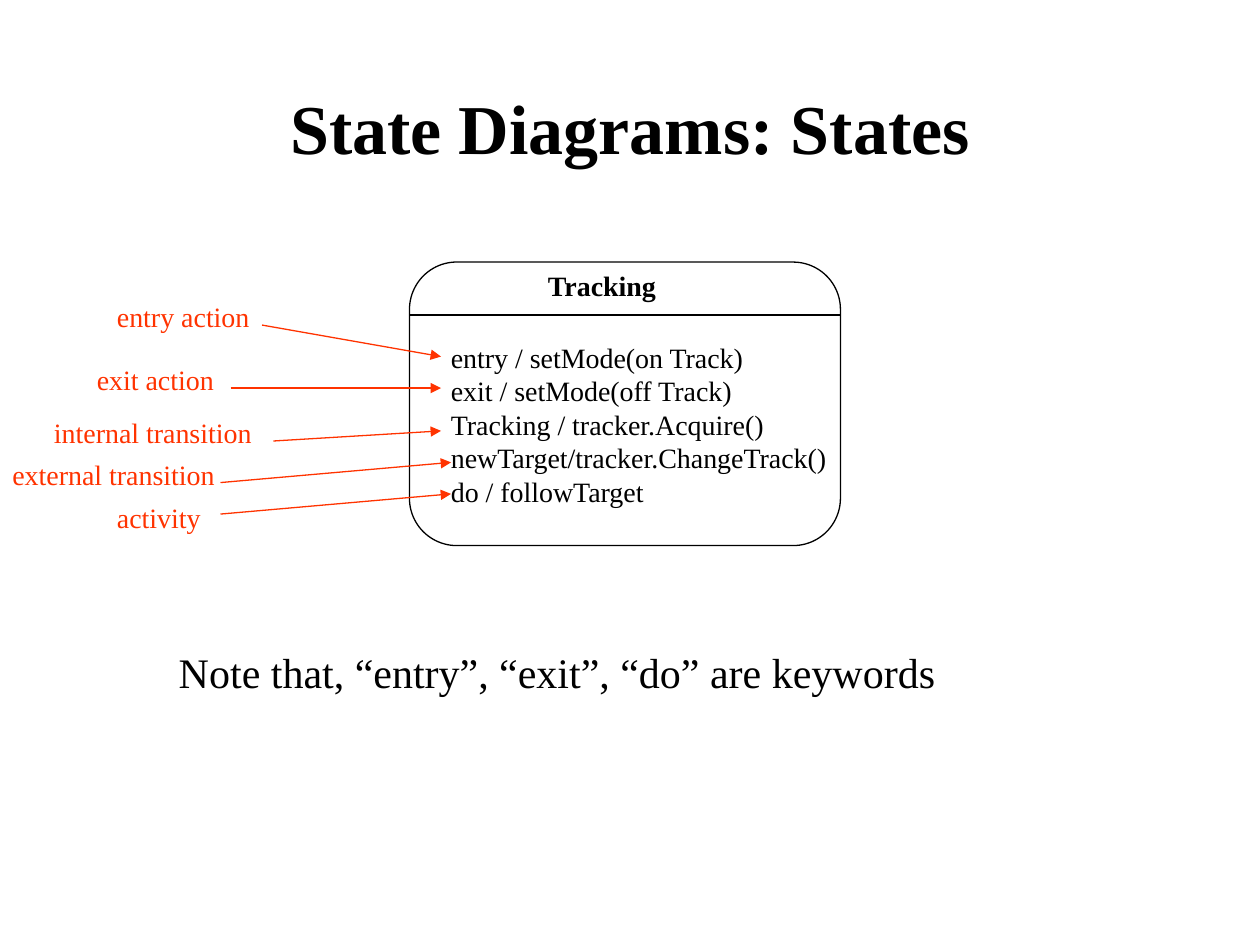
import pptx
import pptx.util
import pptx.dml.color
import pptx.enum.shapes
import pptx.enum.text
import lxml.etree
from pptx.util import Inches

BLACK = pptx.dml.color.RGBColor(0x00, 0x00, 0x00)
ORANGE = pptx.dml.color.RGBColor(0xFF, 0x33, 0x00)
FONT = "Times New Roman"

prs = pptx.Presentation()
prs.slide_width = Inches(10)
prs.slide_height = Inches(7.5)
s = prs.slides.add_slide(prs.slide_layouts[6])


def add_text(text, x, y, w, h, size=16, color=BLACK, bold=False, wrap=False):
    sp = s.shapes.add_textbox(Inches(x), Inches(y), Inches(w), Inches(h))
    tf = sp.text_frame
    tf.word_wrap = wrap
    tf.auto_size = pptx.enum.text.MSO_AUTO_SIZE.SHAPE_TO_FIT_TEXT
    tf.text = text
    for p in tf.paragraphs:
        for r in p.runs:
            r.font.name = FONT
            r.font.size = pptx.util.Pt(size)
            r.font.bold = bold
            r.font.color.rgb = color
    return tf


def add_line(x1, y1, x2, y2, color=BLACK, arrow=False):
    sp = s.shapes.add_connector(pptx.enum.shapes.MSO_CONNECTOR.STRAIGHT,
                                Inches(x1), Inches(y1), Inches(x2), Inches(y2))
    sp.line.color.rgb = color
    sp.line.width = pptx.util.Pt(0.75)
    if arrow:
        ln = sp.line._get_or_add_ln()
        lxml.etree.SubElement(ln, pptx.oxml.ns.qn("a:tailEnd"), type="triangle")
    lxml.etree.SubElement(sp._element.spPr, pptx.oxml.ns.qn("a:effectLst"))


tf = add_text("State Diagrams: States", 0.75, 0.67, 8.5, 0.67, size=40, bold=True, wrap=True)
tf.auto_size = pptx.enum.text.MSO_AUTO_SIZE.NONE
tf.vertical_anchor = pptx.enum.text.MSO_ANCHOR.MIDDLE
tf.paragraphs[0].alignment = pptx.enum.text.PP_ALIGN.CENTER

state = s.shapes.add_shape(pptx.enum.shapes.MSO_SHAPE.ROUNDED_RECTANGLE,
                           Inches(3.25), Inches(2.08), Inches(3.42), Inches(2.25))
state.shadow.inherit = False
state.fill.background()
state.line.color.rgb = BLACK
state.line.width = pptx.util.Pt(0.75)
add_line(3.25, 2.5, 6.67, 2.5)
add_text("Tracking", 4.25, 2.08, 1.08, 0.37, bold=True)

actions = [
    "entry / setMode(on Track)",
    "exit / setMode(off Track)",
    "Tracking / tracker.Acquire()",
    "newTarget/tracker.ChangeTrack()",
    "do / followTarget",
]
add_text("\n".join(actions), 3.48, 2.65, 3.24, 1.7)

callouts = [
    ("entry action", 0.83, 2.33, 1.26, (2.08, 2.58, 3.5, 2.83)),
    ("exit action", 0.67, 2.83, 1.14, (1.83, 3.08, 3.5, 3.08)),
    ("internal transition", 0.33, 3.25, 1.78, (2.17, 3.5, 3.5, 3.42)),
    ("external transition", 0, 3.58, 1.82, (1.75, 3.83, 3.58, 3.67)),
    ("activity", 0.83, 3.92, 0.87, (1.75, 4.08, 3.58, 3.92)),
]
for label, x, y, w, ends in callouts:
    add_text(label, x, y, w, 0.37, color=ORANGE)
    add_line(*ends, color=ORANGE, arrow=True)

add_text("Note that, “entry”, “exit”, “do” are keywords",
         1.32, 5.08, 6.52, 0.5, size=24, wrap=True)

prs.save("out.pptx")
